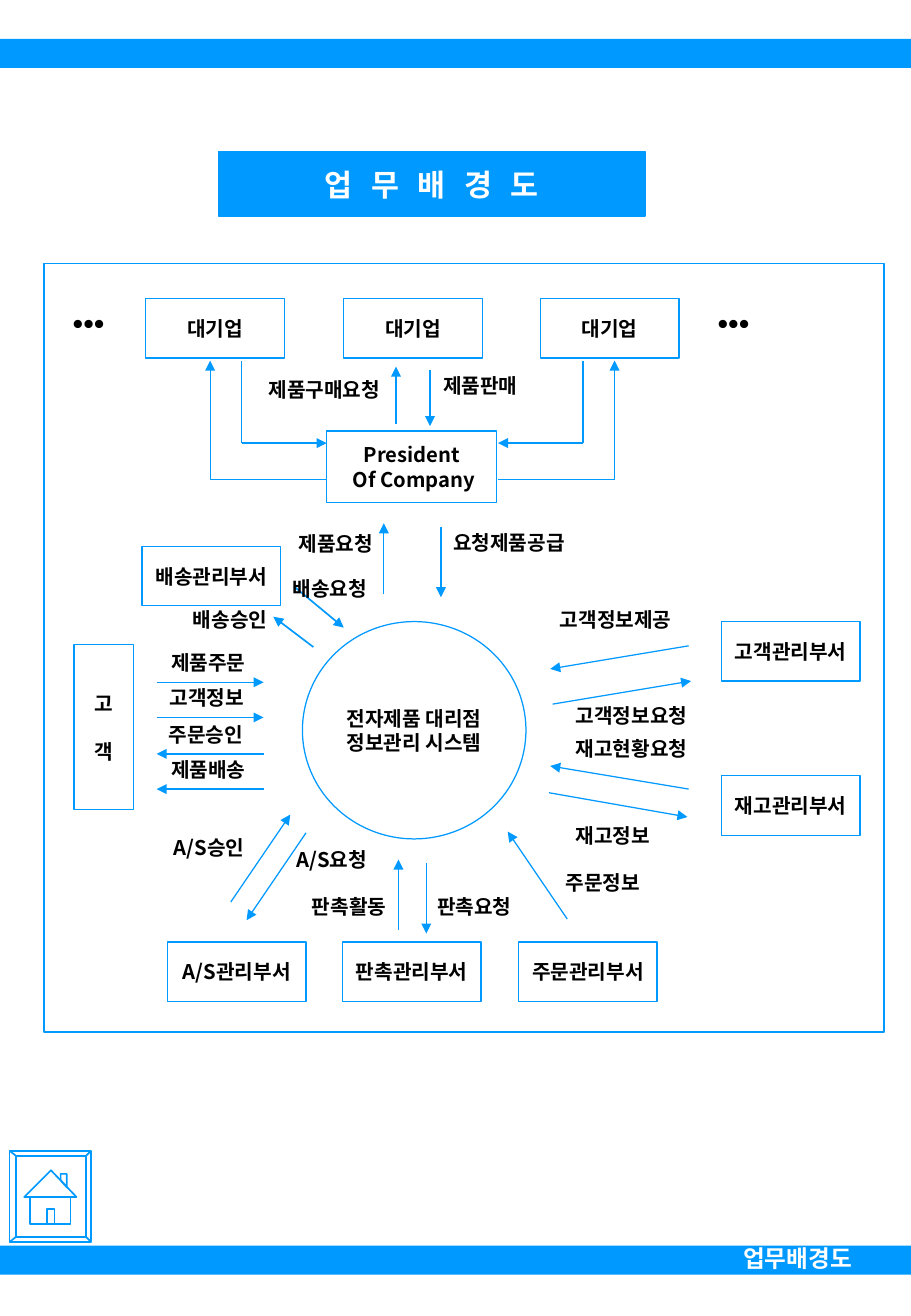
"""Build the business context diagram slide."""
import pptx
import pptx.util
import pptx.dml.color
import pptx.enum.shapes
import pptx.enum.text
import pptx.oxml.ns
import lxml.etree

PX = 9144
SLIDE = (750, 1084)
COLOURS = {"blue": "0099FF", "black": "000000", "white": "FFFFFF"}
SANS, SERIF = "Noto Sans CJK KR", "Times New Roman"
MSO = pptx.enum.shapes.MSO_SHAPE
CENTER, LEFT = pptx.enum.text.PP_ALIGN.CENTER, pptx.enum.text.PP_ALIGN.LEFT
MIDDLE, TOP = pptx.enum.text.MSO_ANCHOR.MIDDLE, pptx.enum.text.MSO_ANCHOR.TOP

TITLE = ("업 무 배 경 도", (180, 125, 351, 53))
FRAME = (36, 217, 692, 633)
BARS = [(0, 1026, 750, 24), (0, 32, 750, 24)]
FOOTER = ("업무배경도", (602, 1020, 139, 34))
SYSTEM = (["전자제품 대리점", "정보관리 시스템"], (249, 512, 184, 179))
PRESIDENT = (["President", " Of Company"], (269, 355, 140, 59))
CUSTOMER = (["고", "객"], (61, 531, 49, 136))
UNIT_SIZE = (114, 49)
UNITS = [
    ("대기업", 120, 246), ("대기업", 283, 246), ("대기업", 445, 246),
    ("배송관리부서", 117, 450), ("고객관리부서", 594, 512), ("재고관리부서", 594, 639),
    ("A/S관리부서", 138, 776), ("판촉관리부서", 282, 776), ("주문관리부서", 427, 776),
]
DOTS = [("•••", 50, 246), ("•••", 581, 246)]
LABEL_WIDTHS = {4: 81, 5: 82, 6: 112}
LABELS = [
    ("제품구매요청", 211, 306), ("제품판매", 355, 303),
    ("제품요청", 236, 433), ("요청제품공급", 363, 432),
    ("배송요청", 231, 470), ("배송승인", 149, 495),
    ("제품주문", 131, 531), ("고객정보", 130, 560),
    ("주문승인", 129, 590), ("제품배송", 131, 619),
    ("고객정보제공", 451, 495), ("고객정보요청", 464, 574),
    ("재고현황요청", 464, 602), ("재고정보", 464, 673),
    ("A/S승인", 131, 683), ("A/S요청", 232, 693),
    ("판촉활동", 247, 732), ("판촉요청", 350, 732), ("주문정보", 456, 712),
]
ARROWS = [
    (354, 305, 354, 351), (326, 349, 326, 302),
    (363, 434, 363, 492), (316, 489, 316, 431),
    (129, 562, 217, 562), (129, 591, 217, 591),
    (217, 621, 129, 621), (217, 650, 129, 650),
    (567, 532, 453, 551), (455, 580, 569, 561),
    (567, 650, 453, 631), (452, 653, 566, 673),
    (252, 686, 203, 758), (190, 743, 239, 671), (467, 757, 418, 685),
    (351, 711, 351, 769), (328, 766, 328, 708),
]
DELIVERY_ARROWS = [(242, 483, 283, 517), (258, 533, 225, 508)]
ELBOW_MIRROR = 679
ELBOWS = [
    ((269, 395, 173, 395), False), ((173, 395, 173, 297), True),
    ((199, 297, 199, 365), False), ((199, 365, 269, 365), True),
]
HOME_OUTER = [(8, 948), (75, 948), (75, 1023), (8, 1023)]
HOME_INNER = [(13, 952), (71, 952), (71, 1019), (13, 1019)]
HOME_PARTS = [
    [(42, 964), (63, 986), (20, 986)],
    [(50, 972), (50, 967), (55, 967), (55, 978)],
    [(25, 986), (58, 986), (58, 1008), (25, 1008)],
    [(39, 1008), (39, 996), (45, 996), (45, 1008)],
]


def emu(lengths):
    return [length * PX for length in lengths]


def colour(name):
    return pptx.dml.color.RGBColor.from_string(COLOURS[name])


def style(shape, fill=None, line="blue", width=0.75):
    shape.shadow.inherit = False
    for part, name in ((shape.fill, fill), (shape.line.fill, line)):
        if name:
            part.solid()
            part.fore_color.rgb = colour(name)
        else:
            part.background()
    if line:
        shape.line.width = pptx.util.Pt(width)


def write(shape, lines, ink="black", size=12, font=SANS, align=CENTER,
          anchor=MIDDLE, wrap=False, gap=0, tracking=0):
    frame = shape.text_frame
    settings = {"word_wrap": wrap, "vertical_anchor": anchor,
                "auto_size": pptx.enum.text.MSO_AUTO_SIZE.NONE}
    for name, value in settings.items():
        setattr(frame, name, value)
    for index, line in enumerate(lines):
        para = frame.add_paragraph() if index else frame.paragraphs[0]
        para.alignment = align
        if index and gap:
            para.space_before = pptx.util.Pt(gap)
        span = para.add_run()
        span.text = line
        for name, value in {"name": font, "size": pptx.util.Pt(size), "bold": True}.items():
            setattr(span.font, name, value)
        span.font.color.rgb = colour(ink)
        properties = span.font._element
        east = lxml.etree.SubElement(properties, pptx.oxml.ns.qn("a:ea"))
        east.set("typeface", font)
        if tracking:
            properties.set("spc", str(tracking))


def add_box(page, place, lines=(), kind=MSO.RECTANGLE, gap=0, **look):
    box = page.shapes.add_shape(kind, *emu(place))
    style(box, **look)
    if lines:
        write(box, lines, gap=gap)


def add_label(page, text, place, **look):
    write(page.shapes.add_textbox(*emu(place)), [text], anchor=TOP, **look)


def add_line(page, ends, head=True, width=0.75):
    straight = pptx.enum.shapes.MSO_CONNECTOR.STRAIGHT
    line = page.shapes.add_connector(straight, *emu(ends))
    line.line.color.rgb = colour("blue")
    line.line.width = pptx.util.Pt(width)
    if head:
        tail = lxml.etree.SubElement(line.line._get_or_add_ln(), pptx.oxml.ns.qn("a:tailEnd"))
        tail.set("type", "triangle")
    lxml.etree.SubElement(line._element.spPr, pptx.oxml.ns.qn("a:effectLst"))


def add_home(page):
    outlines = [HOME_OUTER, HOME_INNER, *HOME_PARTS]
    builder = page.shapes.build_freeform(*outlines[0][0], scale=PX)
    builder.add_line_segments(outlines[0][1:], close=True)
    for outline in outlines[1:]:
        builder.move_to(*outline[0])
        builder.add_line_segments(outline[1:], close=True)
    for outer, inner in zip(HOME_OUTER, HOME_INNER):
        builder.move_to(*outer)
        builder.add_line_segments([inner], close=False)
    style(builder.convert_to_shape(), width=1)


def main():
    deck = pptx.Presentation()
    deck.slide_width, deck.slide_height = emu(SLIDE)
    page = deck.slides.add_slide(deck.slide_layouts[5])

    title = page.shapes.title
    for name, value in zip(("left", "top", "width", "height"), emu(TITLE[1])):
        setattr(title, name, value)
    style(title, fill="blue")
    write(title, [TITLE[0]], ink="white", size=18, tracking=350)

    add_box(page, FRAME, width=1)
    add_box(page, SYSTEM[1], SYSTEM[0], kind=MSO.OVAL)
    add_box(page, PRESIDENT[1], PRESIDENT[0])
    add_box(page, CUSTOMER[1], CUSTOMER[0], gap=14)
    for text, left, top in UNITS:
        add_box(page, (left, top, *UNIT_SIZE), [text])

    for ends in ARROWS:
        add_line(page, ends)
    for ends in DELIVERY_ARROWS:
        add_line(page, ends, width=1)
    for (x1, y1, x2, y2), head in ELBOWS:
        add_line(page, (x1, y1, x2, y2), head)
        add_line(page, (ELBOW_MIRROR - x1, y1, ELBOW_MIRROR - x2, y2), head)

    for text, left, top in LABELS:
        add_label(page, text, (left, top, LABEL_WIDTHS[len(text)], 30))
    for text, left, top in DOTS:
        add_label(page, text, (left, top, 46, 40), size=18, font=SERIF, align=LEFT)

    for place in BARS:
        add_box(page, place, fill="blue", line=None)
    add_label(page, FOOTER[0], FOOTER[1], ink="white", size=14, align=LEFT, wrap=True)
    add_home(page)
    deck.save("out.pptx")


if __name__ == "__main__":
    main()
